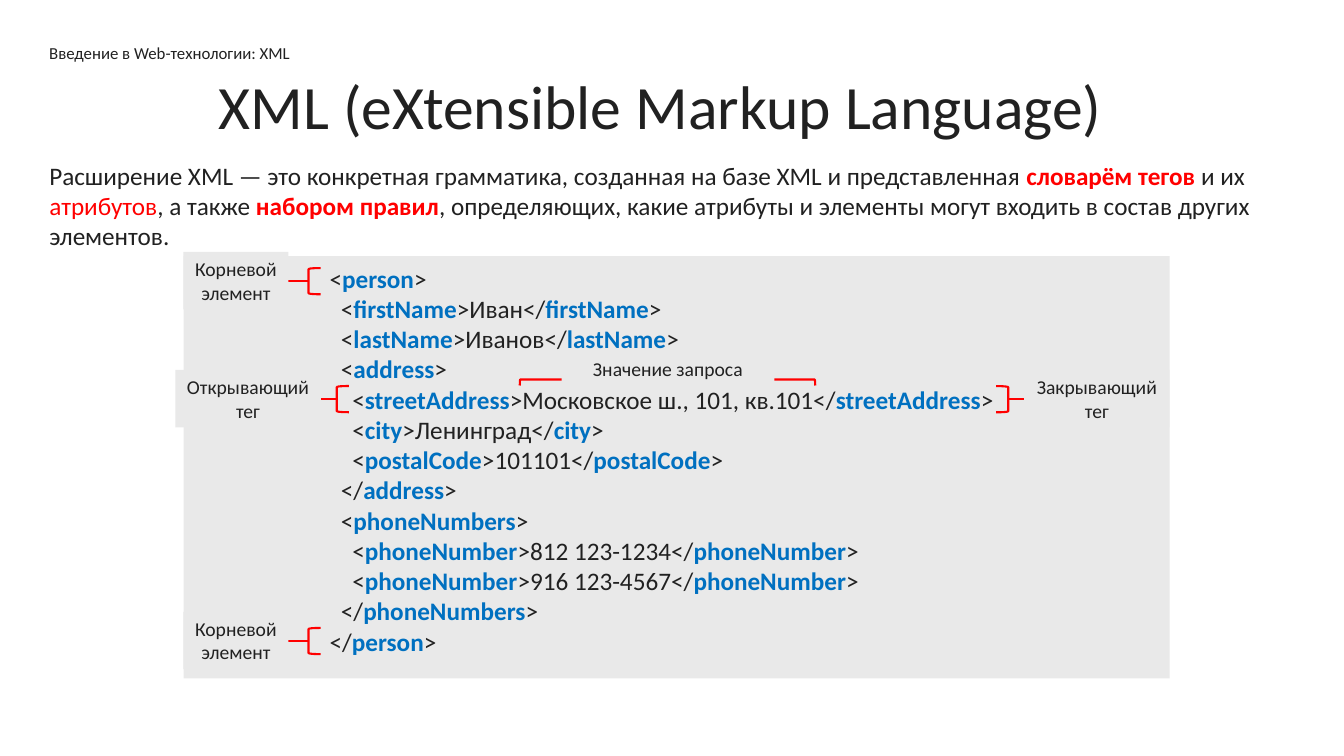
from pptx import Presentation
from pptx import util as u
from pptx.dml.color import RGBColor
from pptx.enum import shapes, text
from pptx.oxml.ns import qn
from lxml import etree

INK = {"ink": "212121", "red": "FF0000", "blue": "0070C0", "grey": "E9E9E9"}

CODE = """<*person*>
  <*firstName*>Иван</*firstName*>
  <*lastName*>Иванов</*lastName*>
  <*address*>
    <*streetAddress*>Московское ш., 101, кв.101</*streetAddress*>
    <*city*>Ленинград</*city*>
    <*postalCode*>101101</*postalCode*>
  </*address*>
  <*phoneNumbers*>
    <*phoneNumber*>812 123-1234</*phoneNumber*>
    <*phoneNumber*>916 123-4567</*phoneNumber*>
  </*phoneNumbers*>
</*person*>"""

INTRO = [
    ("Расширение XML — это конкретная грамматика, созданная на базе XML и представленная ", "ink", False),
    ("словарём тегов ", "red", True),
    ("и их ", "ink", False),
    ("атрибутов", "red", False),
    (", а также ", "ink", False),
    ("набором правил", "red", True),
    (", определяющих, какие атрибуты и элементы могут входить в состав других элементов.", "ink", False),
]


def rgb(name):
    return RGBColor.from_string(INK[name])


def tint(line):
    return [(part, "blue" if i % 2 else "ink", bool(i % 2))
            for i, part in enumerate(line.split("*")) if part]


class Page:
    face = "Calibri"
    rule = 1.5

    def __init__(self, slide):
        self.shapes = slide.shapes

    def words(self, shape, rows, size, align=text.PP_ALIGN.LEFT):
        frame = shape.text_frame
        frame.word_wrap = True
        frame.vertical_anchor = text.MSO_ANCHOR.TOP
        for i, runs in enumerate(rows):
            para = frame.add_paragraph() if i else frame.paragraphs[0]
            para.alignment = align
            para.font.name = self.face
            para.font.size = u.Pt(size)
            para.font.color.rgb = rgb("ink")
            for part, hue, bold in runs:
                run = para.add_run()
                run.text = part
                run.font.color.rgb = rgb(hue)
                run.font.bold = bold

    def note(self, box, runs, size):
        self.words(self.shapes.add_textbox(*map(u.Inches, box)), [runs], size)

    def shape(self, kind, box):
        item = self.shapes.add_shape(kind, *map(u.Inches, box))
        item.shadow.inherit = False
        item.fill.solid()
        item.fill.fore_color.rgb = rgb("grey")
        item.line.fill.background()
        return item

    def panel(self, box):
        return self.shape(shapes.MSO_SHAPE.RECTANGLE, box)

    def label(self, box, name):
        self.words(self.panel(box), [[(name, "ink", False)]], 14, text.PP_ALIGN.CENTER)

    def stroke(self, item):
        item.line.color.rgb = rgb("red")
        item.line.width = u.Pt(self.rule)

    def brace(self, box, turn=0):
        item = self.shape(shapes.MSO_SHAPE.LEFT_BRACKET, box)
        item.rotation = turn
        self.stroke(item)

    def link(self, start, end, y):
        line = self.shapes.add_connector(
            shapes.MSO_CONNECTOR.STRAIGHT, *map(u.Inches, (start, y, end, y)))
        self.stroke(line)
        etree.SubElement(line._element.spPr, qn("a:effectLst"))


def main():
    deck = Presentation()
    deck.slide_width, deck.slide_height = u.Inches(13.33), u.Inches(7.5)
    page = Page(deck.slides.add_slide(deck.slide_layouts[6]))

    page.note((0.39, 0.37, 2.96, 0.4), [("Введение в Web-технологии: XML", "ink", False)], 12)
    page.note((2.07, 0.62, 9.2, 0.84), [("XML (eXtensible Markup Language)", "ink", False)], 44)
    page.note((0.39, 1.54, 12.15, 1.01), INTRO, 18)

    page.panel((1.82, 2.54, 9.78, 4.19))
    code = page.panel((3.17, 2.56, 6.95, 4.04))
    page.words(code, [tint(line) for line in CODE.split("\n")], 18)

    marks = [
        ("Корневой элемент", 1.82, 1.04, 3.06, 2.79, 0),
        ("Корневой элемент", 1.82, 1.04, 3.06, 6.36, 0),
        ("Открывающий тег", 1.74, 1.44, 3.34, 3.96, 0),
        ("Закрывающий тег", 10.16, 1.44, 9.88, 3.96, 180),
    ]
    for name, left, width, x, y, turn in marks:
        page.brace((x, y - 0.13, 0.12, 0.26), turn)
        if turn:
            page.link(x + 0.12, left, y)
        else:
            page.link(x, left + width, y)
        page.label((left, y - 0.29, width, 0.57), name)

    page.brace((6.59, 2.33, 0.06, 2.93), 90)
    page.label((5.57, 3.49, 2.11, 0.34), "Значение запроса")

    deck.save("out.pptx")


if __name__ == "__main__":
    main()
